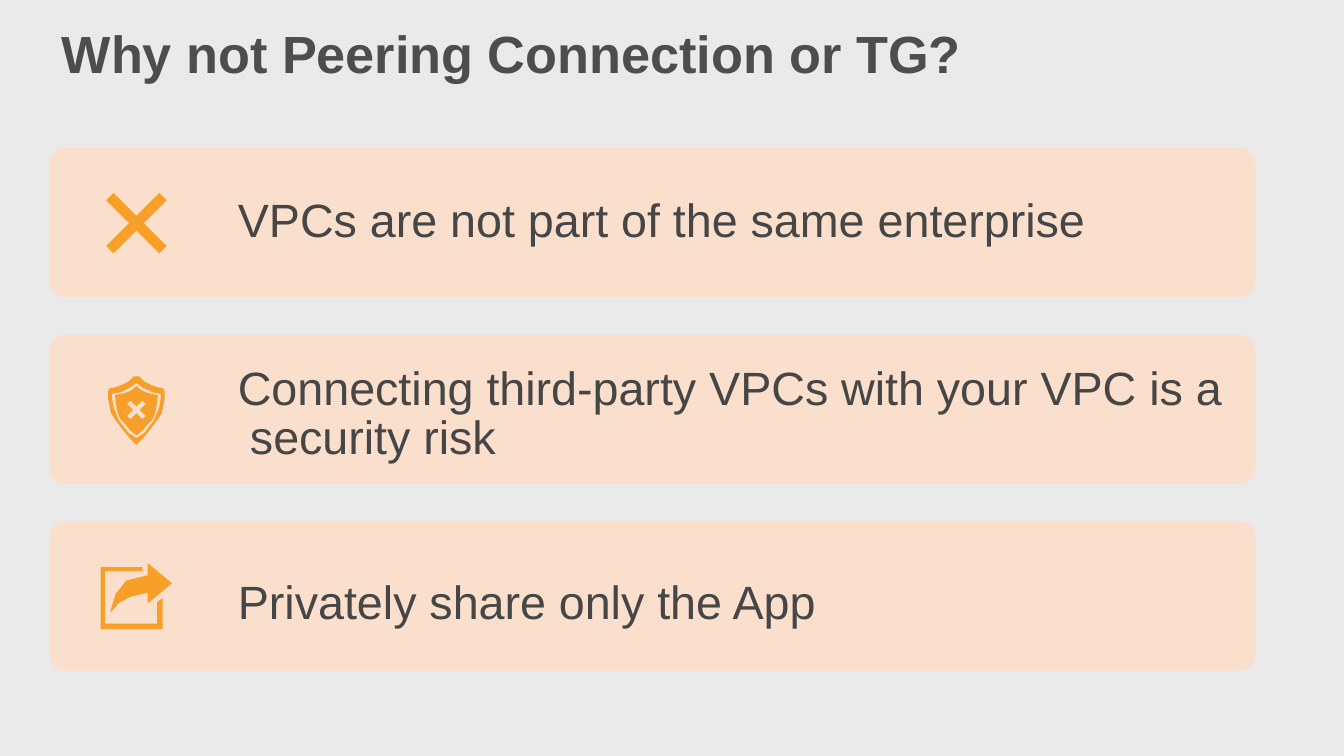
from lxml import etree
from pptx import Presentation
from pptx.dml.color import RGBColor
from pptx.enum.shapes import MSO_SHAPE
from pptx.enum.text import MSO_ANCHOR, MSO_AUTO_SIZE, PP_ALIGN
from pptx.oxml.ns import qn
from pptx.util import Inches, Pt

ROUNDED = MSO_SHAPE.ROUNDED_RECTANGLE
TOP = MSO_ANCHOR.TOP
NO_FIT = MSO_AUTO_SIZE.NONE
LEFT = PP_ALIGN.LEFT

BACKGROUND, CARD, ORANGE = "EAEAEA", "FBDFCD", "F79F28"
TITLE_COLOR, BODY_COLOR = "4D4D4B", "464646"
CARD_TOP, CARD_STEP = 1.1, 1.39
ICON_X = 1.015

# Right halves of the shield outlines, from top centre to bottom centre
SHIELD_OUTER = [(0, 2.8), (.02, 2.8), (.06, 2.84), (.1, 2.86), (.15, 2.88),
                (.2, 2.89), (.21, 2.91), (.21, 2.97), (.2, 3.02), (.19, 3.07),
                (.16, 3.12), (.13, 3.16), (.1, 3.2), (.05, 3.26), (0, 3.31)]
SHIELD_RING = [(0, 2.85), (.04, 2.88), (.08, 2.9), (.12, 2.92), (.18, 2.93),
               (.18, 2.97), (.17, 3.03), (.15, 3.08), (.13, 3.13),
               (.09, 3.18), (.06, 3.22), (0, 3.26)]
SHIELD_CORE = [(0, 2.87), (.03, 2.9), (.07, 2.92), (.11, 2.93), (.16, 2.94),
               (.15, 3.02), (.14, 3.07), (.12, 3.12), (.08, 3.16),
               (.05, 3.2), (0, 3.24)]
SHARE_FRAME = [(1.21, 4.45), (1.17, 4.48), (1.17, 4.64), (.78, 4.64),
               (.78, 4.25), (1.06, 4.25), (1.06, 4.22), (.75, 4.22),
               (.75, 4.68), (1.21, 4.68)]
SHARE_ARROW = [(1.28, 4.34), (1.1, 4.19), (1.1, 4.28), (.94, 4.32),
               (.86, 4.42), (.83, 4.52), (.82, 4.56), (.84, 4.54),
               (.88, 4.49), (.97, 4.44), (1.1, 4.41), (1.1, 4.49)]


def rgb(value):
    return RGBColor.from_string(value)


def paint(sp, color):
    sp.shadow.inherit = False
    sp.fill.solid()
    sp.fill.fore_color.rgb = rgb(color)
    sp.line.fill.background()


def add_card(s, top):
    sp = s.shapes.add_shape(ROUNDED, Inches(.37), Inches(top),
                            Inches(8.97), Inches(1.11))
    sp.adjustments[0] = .1
    paint(sp, CARD)


def add_icon(s, *outlines):
    """Draw closed outlines as one shape; nested outlines become holes."""
    builder = None
    for outline in outlines:
        start, *rest = [(Inches(x), Inches(y)) for x, y in outline]
        if builder is None:
            builder = s.shapes.build_freeform(*start)
        else:
            builder.move_to(*start)
        builder.add_line_segments(rest, close=True)
    paint(builder.convert_to_shape(), ORANGE)


def cross(cy, reach, notch):
    """Outline of an X whose inner corners lie notch from its centre."""
    inner = reach - notch
    quarter = [(0, -notch), (inner, -reach), (reach, -inner)]
    points = []
    for _ in range(4):
        points += quarter
        quarter = [(-y, x) for x, y in quarter]
    return [(ICON_X + x, cy + y) for x, y in points]


def mirrored(half):
    left = [(-x, y) for x, y in reversed(half[1:-1])]
    return [(ICON_X + x, y) for x, y in half + left]


def place(sp, left, top, width, height, margin_top):
    sp.left, sp.top = Inches(left), Inches(top)
    sp.width, sp.height = Inches(width), Inches(height)
    tf = sp.text_frame
    tf.word_wrap, tf.auto_size, tf.vertical_anchor = True, NO_FIT, TOP
    tf.margin_left = tf.margin_right = tf.margin_bottom = 0
    tf.margin_top = Inches(margin_top)
    return tf


def write(p, text, *, size, color, bold=False, before=0, line=None,
          margin=0.0, indent=0.0):
    pPr = p._p.get_or_add_pPr()
    pPr.set("marL", str(Inches(margin)))
    pPr.set("indent", str(Inches(indent)))
    etree.SubElement(pPr, qn("a:buNone"))
    p.alignment = LEFT
    p.space_before = Pt(before)
    if line:
        p.line_spacing = Pt(line)
    r = p.add_run()
    r.text = text
    r.font.name, r.font.size, r.font.bold = "Arial", Pt(size), bold
    r.font.color.rgb = rgb(color)


def add_reasons(tf, reasons):
    for i, (text, before) in enumerate(reasons):
        p = tf.add_paragraph() if i else tf.paragraphs[0]
        write(p, text, size=25, color=BODY_COLOR, before=before, line=25.9,
              margin=.1, indent=-.09)


def main():
    prs = Presentation()
    prs.slide_width = Inches(10)
    prs.slide_height = prs.slide_width * 9 // 16
    s = prs.slides.add_slide(prs.slide_layouts[1])
    s.background.fill.solid()
    s.background.fill.fore_color.rgb = rgb(BACKGROUND)

    title, body = s.placeholders
    tf = place(title, .45, .15, 6.9, .49, .01)
    write(tf.paragraphs[0], "Why not Peering Connection or TG?",
          size=28, color=TITLE_COLOR, bold=True, margin=.01)

    for i in range(3):
        add_card(s, CARD_TOP + i * CARD_STEP)
    add_icon(s, cross(1.66, .225, .055))
    add_icon(s, mirrored(SHIELD_OUTER), mirrored(SHIELD_RING),
             mirrored(SHIELD_CORE), cross(3.05, .07, .025))
    add_icon(s, SHARE_FRAME, SHARE_ARROW)

    tf = place(body, 1.76, 1.4, 7.4, 3.22, .08)
    add_reasons(tf, [
        ("VPCs are not part of the same enterprise", 0),
        ("Connecting third-party VPCs with your VPC is a security risk", 64),
        ("Privately share only the App", 62.5),
    ])
    s.shapes._spTree.append(body._element)  # bring the text above the cards
    prs.save("out.pptx")


if __name__ == "__main__":
    main()
